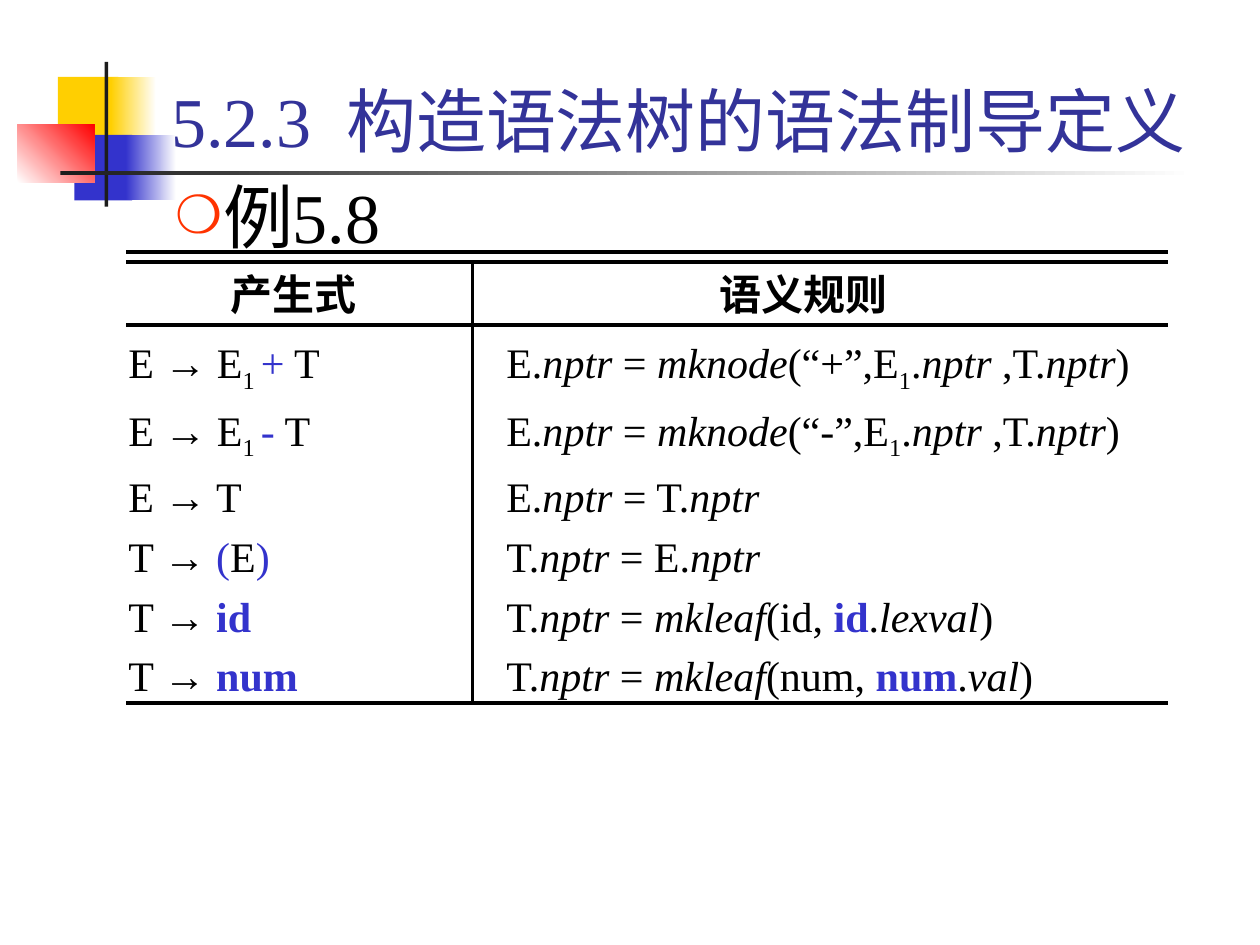
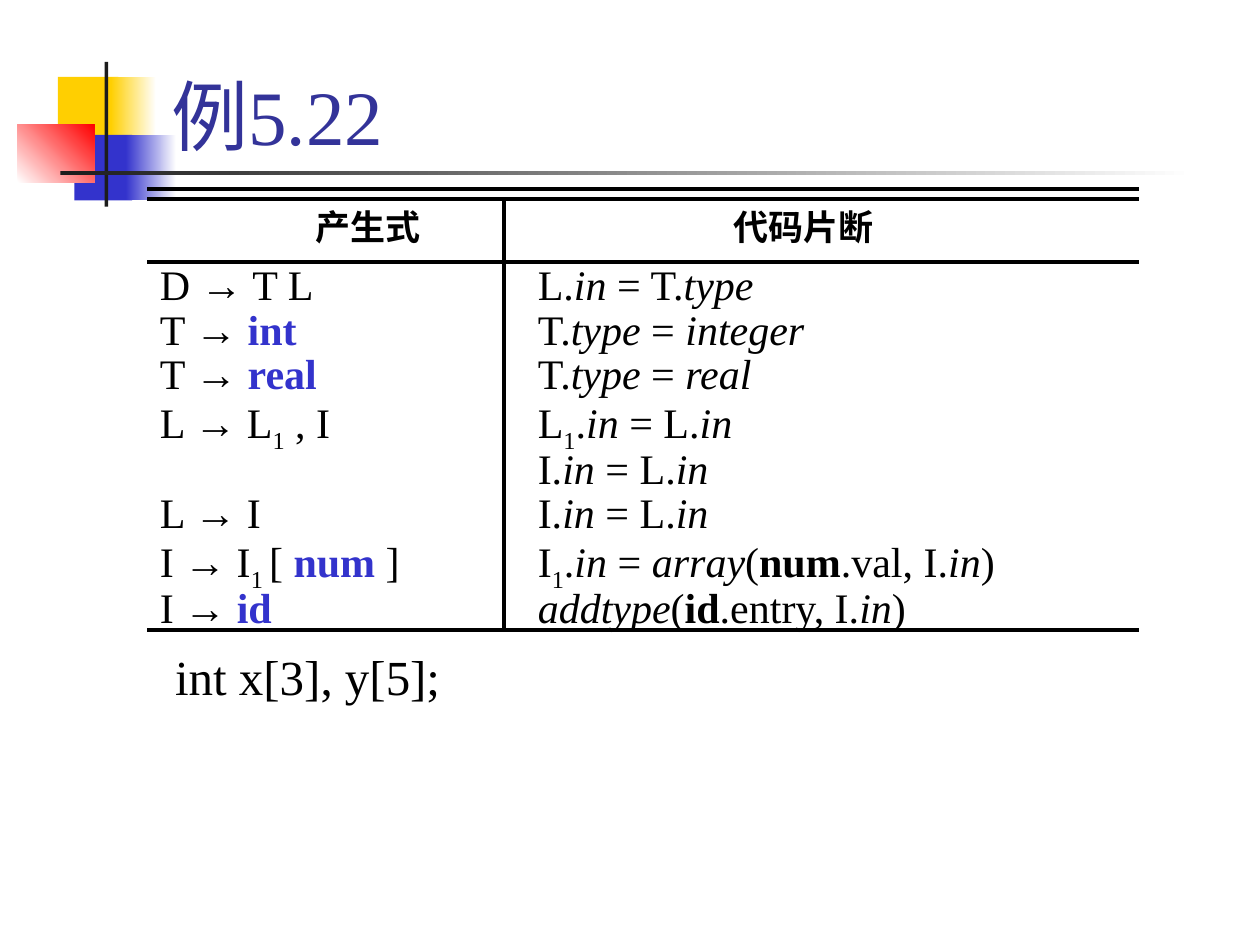
import pptx
import pptx.util
import pptx.dml.color
import pptx.enum.shapes
import pptx.enum.text
import pptx.oxml.ns
import lxml.etree

Inches = pptx.util.Inches
Pt = pptx.util.Pt
qn = pptx.oxml.ns.qn
FONT = "Times New Roman"
HUES = {
    "gold": "FFCF01",
    "blue": "3333CC",
    "red": "FF0000",
    "dark": "1C1C1C",
    "white": "FFFFFF",
    "black": "000000",
    "title": "333399",
    "dot": "FF3300",
}
DECOR = [
    ((0.46, 0.61, 0.48, 0.52), ["gold"], 0),
    ((0.88, 0.61, 0.36, 0.52), ["gold", "white"], 0),
    ((0.59, 1.07, 0.46, 0.52), ["blue"], 0),
    ((1, 1.07, 0.4, 0.52), ["blue", "white"], 0),
    ((0.14, 0.99, 0.61, 0.46), ["white", "red"], 45),
    ((0.83, 0.49, 0.03, 1.15), ["dark"], 0),
    ((0.48, 1.36, 9, 0.03), ["dark", "white"], 0),
]
MARKS = {"*": "italic", "_": "sub", "@": "blue", "#": "bold"}
TREE = [
    ("E → E_1 _@+@ T", "E.*nptr* = *mknode*(“+”,E_1_.*nptr *,T.*nptr*)"),
    ("E → E_1 _@-@ T", "E.*nptr* = *mknode*(“-”,E_1_.*nptr *,T.*nptr*)"),
    ("E → T", "E.*nptr* = T.*nptr*"),
    ("T → @(@E@)@", "T.*nptr* = E.*nptr*"),
    ("T → @#id#@", "T.*nptr* = *mkleaf*(id, @#id#@.*lexval*)"),
    ("T → @#num#@", "T.*nptr* = *mkleaf*(num, @#num#@.*val*)"),
]
TYPES = [
    ("D → T L", "L.*in* = T.*type*"),
    ("T → @#int#@", "T.*type* = *integer*"),
    ("T → @#real#@", "T.*type* = *real*"),
    ("L → L_1_ , I", "L_1_.*in* = L.*in*"),
    ("", "I.*in* = L.*in*"),
    ("L → I", "I.*in* = L.*in*"),
    ("I → I_1 _[ @#num#@ ]", "I_1_.*in* = *array*(#num#.val, I.*in*)"),
    ("I → @#id#@", "*addtype*(#id#.entry, I.*in*)"),
]


def tint(name):
    return pptx.dml.color.RGBColor.from_string(HUES[name])


def place(shape, box):
    shape.left, shape.top, shape.width, shape.height = map(Inches, box)


def style(run, size, hue="black", bold=False):
    run.font.name = FONT
    run.font.size = Pt(size)
    run.font.bold = bold
    run.font.color.rgb = tint(hue)


def space(para, share):
    para.space_before = Pt(0)
    gap = para._p.get_or_add_pPr().find(qn("a:spcBef"))
    gap.remove(gap[0])
    lxml.etree.SubElement(gap, qn("a:spcPct"), val=str(share * 1000))


def add_prop(para, tag, **attrs):
    props = para._p.get_or_add_pPr()
    return lxml.etree.SubElement(props, qn(tag), **attrs)


def decorate(slide, master):
    for num, (box, names, angle) in enumerate(DECOR):
        kind = pptx.enum.shapes.MSO_SHAPE.RECTANGLE
        shape = slide.shapes.add_shape(kind, *map(Inches, box))
        shape.shadow.inherit = False
        shape.line.fill.background()
        if len(names) == 1:
            shape.fill.solid()
            shape.fill.fore_color.rgb = tint(names[0])
        else:
            shape.fill.gradient()
            shape.fill.gradient_angle = angle
            for stop, name in zip(shape.fill.gradient_stops, names):
                stop.color.rgb = tint(name)
        shape.element.nvSpPr.cNvPr.id = 100 + num
        master.shapes.element.append(shape.element)


def set_title(slide, text, size):
    title = slide.shapes.title
    place(title, (1.26, 0.08, 8.52, 1.25))
    frame = title.text_frame
    frame.text = text
    frame.auto_size = pptx.enum.text.MSO_AUTO_SIZE.NONE
    frame.vertical_anchor = pptx.enum.text.MSO_ANCHOR.BOTTOM
    para = frame.paragraphs[0]
    para.alignment = pptx.enum.text.PP_ALIGN.LEFT
    style(para.runs[0], size, "title")


def set_body(slide, text, size, top, height, dot=None):
    body = slide.placeholders[1]
    place(body, (1.29, top, 8.5, height))
    frame = body.text_frame
    frame.text = text
    frame.auto_size = pptx.enum.text.MSO_AUTO_SIZE.NONE
    para = frame.paragraphs[0]
    style(para.runs[0], size)
    space(para, 20)
    props = para._p.get_or_add_pPr()
    props.set("marL", str(Inches(0.38)))
    props.set("indent", str(-Inches(0.38)))
    if dot:
        hue = add_prop(para, "a:buClr")
        lxml.etree.SubElement(hue, qn("a:srgbClr"), val=HUES["dot"])
        add_prop(para, "a:buSzPct", val="75000")
        add_prop(para, "a:buChar", char=dot)
    else:
        add_prop(para, "a:buNone")


def add_line(slide, *ends):
    kind = pptx.enum.shapes.MSO_CONNECTOR.STRAIGHT
    line = slide.shapes.add_connector(kind, *map(Inches, ends))
    line.line.width = Pt(2)
    line.line.color.rgb = tint("black")
    lxml.etree.SubElement(line.element.spPr, qn("a:effectLst"))


def add_grid(slide, left, right, split, top, head, foot):
    for level in (top - 0.08, top, head, foot):
        add_line(slide, left, level, right, level)
    add_line(slide, split, top, split, foot)


def add_box(slide, box):
    frame = slide.shapes.add_textbox(*map(Inches, box)).text_frame
    frame.word_wrap = True
    frame.auto_size = pptx.enum.text.MSO_AUTO_SIZE.SHAPE_TO_FIT_TEXT
    return frame


def add_head(slide, text, size, box):
    frame = add_box(slide, box)
    frame.text = text
    para = frame.paragraphs[0]
    para.alignment = pptx.enum.text.PP_ALIGN.CENTER
    space(para, 50)
    style(para.runs[0], size, bold=True)


def fill_rich(para, text):
    live, run = set(), None
    for char in text:
        if char in MARKS:
            live ^= {MARKS[char]}
            run = None
        elif run:
            run.text += char
        else:
            run = para.add_run()
            run.text = char
            style(run, 24, "blue" if "blue" in live else "black", "bold" in live)
            run.font.italic = "italic" in live
            if "sub" in live:
                run._r.get_or_add_rPr().set("baseline", "-25000")


def add_rules(slide, rows, box, pitch):
    frame = add_box(slide, box)
    for num, pair in enumerate(rows):
        para = frame.add_paragraph() if num else frame.paragraphs[0]
        para.line_spacing = pitch
        space(para, 10)
        tabs = add_prop(para, "a:tabLst")
        lxml.etree.SubElement(tabs, qn("a:tab"), pos=str(Inches(3)), algn="l")
        fill_rich(para, "\t".join(pair))


def main():
    deck = pptx.Presentation()
    deck.slide_width, deck.slide_height = Inches(10), Inches(7.5)
    layout = deck.slide_layouts[1]

    slide = deck.slides.add_slide(layout)
    decorate(slide, deck.slide_master)
    set_title(slide, "5.2.3  构造语法树的语法制导定义", 40)
    set_body(slide, "例5.8", 40, 1.33, 5.17, "❍")
    add_grid(slide, 1, 9.27, 3.75, 2.08, 2.58, 5.58)
    add_rules(slide, TREE, (0.92, 2.58, 8.42, 2.94), 1.1)
    add_head(slide, "产生式", 24, (1.58, 2.08, 1.5, 0.5))
    add_head(slide, "语义规则", 24, (5.5, 2.08, 1.75, 0.5))

    slide = deck.slides.add_slide(layout)
    set_title(slide, "例5.22", 44)
    add_grid(slide, 1.17, 9.04, 4, 1.58, 2.08, 5)
    add_rules(slide, TYPES, (1.17, 2.08, 8.17, 2.97), 0.8)
    add_head(slide, "产生式", 20, (2.17, 1.58, 1.5, 0.43))
    add_head(slide, "代码片断", 20, (5.5, 1.58, 1.75, 0.43))
    set_body(slide, "int x[3], y[5];", 28, 5.08, 0.67)

    deck.save("out.pptx")


if __name__ == "__main__":
    main()
